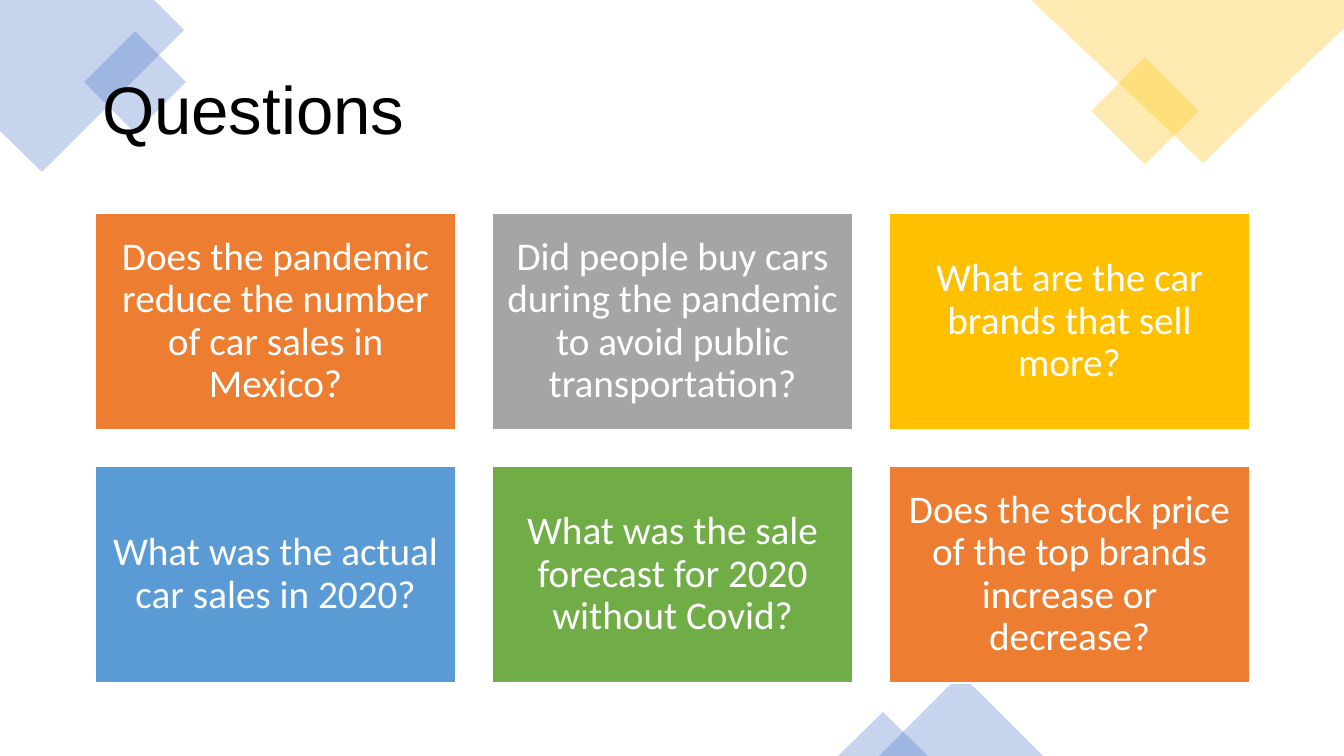
"""Build the Questions slide: a title and six coloured cards over pale corner ornaments."""
from lxml.etree import SubElement
from pptx import Presentation
from pptx.dml.color import RGBColor
from pptx.enum.shapes import MSO_SHAPE
from pptx.enum.text import MSO_ANCHOR, PP_ALIGN
from pptx.oxml.ns import qn
from pptx.util import Pt

PX = 914400 / 100.8
THEME = {
    "blue": "4472C4", "orange": "ED7D31", "gray": "A5A5A5", "gold": "FFC000",
    "sky": "5B9BD5", "green": "70AD47", "white": "FFFFFF", "black": "000000",
    "title_font": "Arial", "title_size": Pt(48),
    "card_font": "Calibri", "card_size": Pt(28),
    "ornament_alpha": "30000",
}


def px(*lengths):
    """Turn pixel lengths into EMU."""
    return [round(length * PX) for length in lengths]


def paint(shape, color, ornament=False):
    """Fill a shape; make it translucent and unlined if it is an ornament."""
    shape.shadow.inherit = False
    shape.fill.solid()
    shape.fill.fore_color.rgb = RGBColor.from_string(THEME[color])
    if ornament:
        shape.line.fill.background()
        color_node = shape.element.spPr.find(qn("a:solidFill"))[0]
        SubElement(color_node, qn("a:alpha"), val=THEME["ornament_alpha"])


deck = Presentation()
deck.slide_width, deck.slide_height = px(1344, 756)
page = deck.slides.add_slide(deck.slide_layouts[5])

corners = [
    ("blue", [(0, 0), (154, 0), (184, 30), (42, 172), (0, 131)]),
    ("gold", [(1031, 0), (1344, 0), (1344, 28), (1203, 163)]),
]
for color, points in corners:
    builder = page.shapes.build_freeform(*points[0], scale=PX)
    builder.add_line_segments(points[1:], close=True)
    paint(builder.convert_to_shape(), color, ornament=True)

ornaments = [
    (MSO_SHAPE.RECTANGLE, "blue", (99, 46, 72, 72), 45),
    (MSO_SHAPE.RECTANGLE, "gold", (1107, 73, 76, 76), 45),
    (MSO_SHAPE.ISOSCELES_TRIANGLE, "blue", (879, 674, 164, 82), 0),
    (MSO_SHAPE.ISOSCELES_TRIANGLE, "blue", (838, 712, 90, 44), 0),
]
for kind, color, area, angle in ornaments:
    ornament = page.shapes.add_shape(kind, *px(*area))
    ornament.rotation = angle
    paint(ornament, color, ornament=True)

title = page.shapes.title
page.shapes.element.append(title.element)
title.left, title.top, title.width, title.height = px(92, 40, 1159, 146)
title.text_frame.text = "Questions"
title.text_frame.vertical_anchor = MSO_ANCHOR.MIDDLE
heading = title.text_frame.paragraphs[0]
heading.alignment = PP_ALIGN.LEFT
heading.line_spacing = 0.9
heading.font.name = THEME["title_font"]
heading.font.size = THEME["title_size"]
heading.font.color.rgb = RGBColor.from_string(THEME["black"])

questions = [
    ("orange", "Does the pandemic reduce the number of car sales in Mexico?"),
    ("gray", "Did people buy cars during the pandemic to avoid public transportation?"),
    ("gold", "What are the car brands that sell more?"),
    ("sky", "What was the actual car sales in 2020?"),
    ("green", "What was the sale forecast for 2020 without Covid?"),
    ("orange", "Does the stock price of the top brands increase or decrease?"),
]
columns, gap, card_width, card_height = 3, 36, 361, 217
for index, (color, question) in enumerate(questions):
    row, column = divmod(index, columns)
    left = 95 + column * (card_width + gap)
    top = 213 + row * (card_height + gap)
    card = page.shapes.add_shape(
        MSO_SHAPE.RECTANGLE, *px(left, top, card_width, card_height))
    paint(card, color)
    card.line.color.rgb = RGBColor.from_string(THEME["white"])
    card.line.width = Pt(1)
    frame = card.text_frame
    frame.word_wrap = True
    frame.vertical_anchor = MSO_ANCHOR.MIDDLE
    frame.margin_left, frame.margin_top, frame.margin_right, frame.margin_bottom = px(*[12] * 4)
    frame.text = question
    para = frame.paragraphs[0]
    para.alignment = PP_ALIGN.CENTER
    para.line_spacing = 0.9
    para.font.name = THEME["card_font"]
    para.font.size = THEME["card_size"]
    para.font.color.rgb = RGBColor.from_string(THEME["white"])

deck.save("out.pptx")
